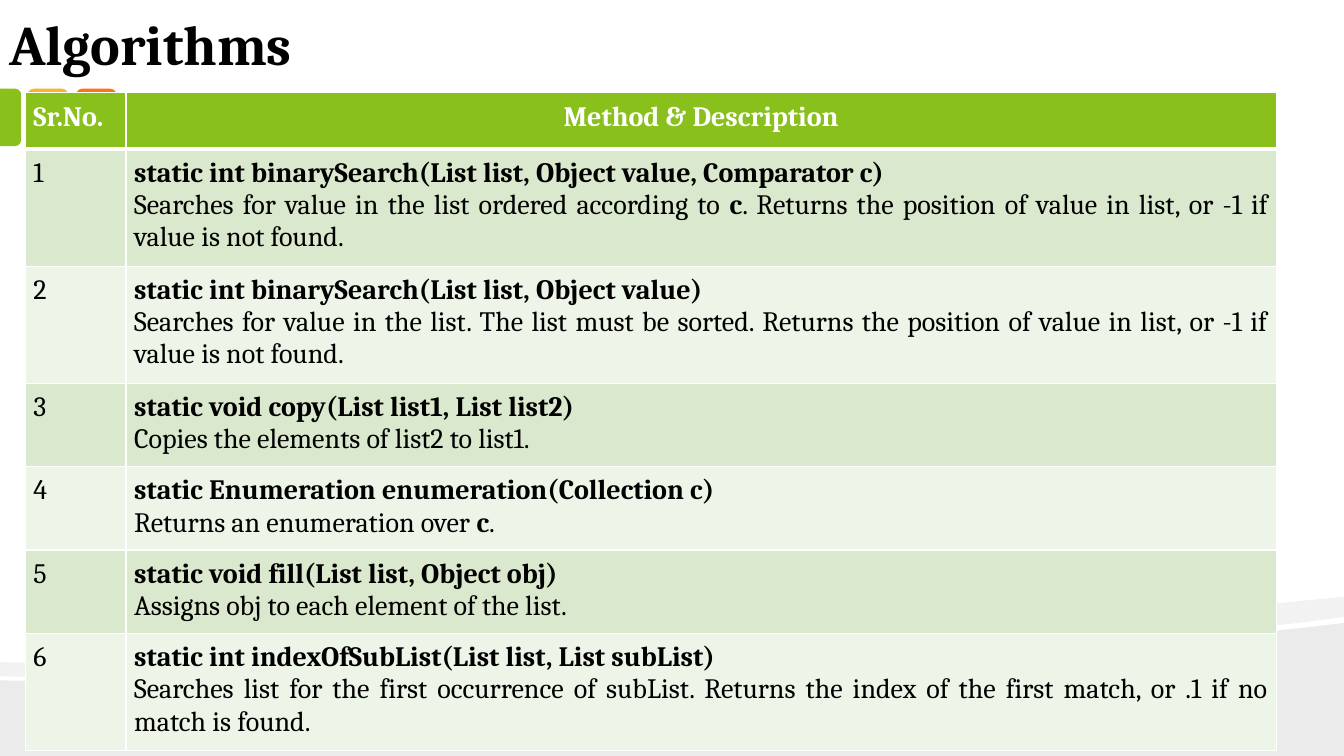
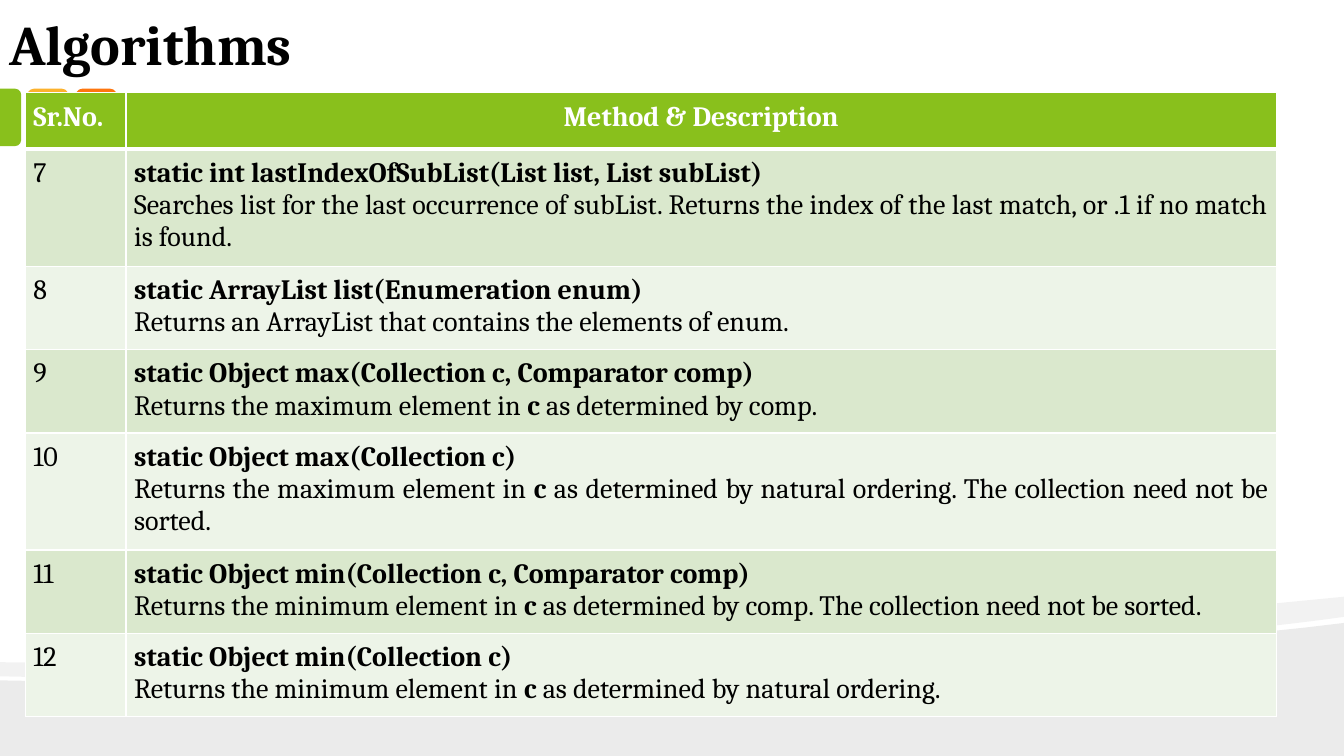
from lxml import etree
from pptx import Presentation
from pptx import util as u
from pptx.dml.color import RGBColor
from pptx.enum import shapes, text
from pptx.oxml import ns

BLACK = RGBColor(0x00, 0x00, 0x00)
WHITE = RGBColor(0xFF, 0xFF, 0xFF)
GREEN = RGBColor(0x89, 0xC0, 0x1C)
AMBER = RGBColor(0xFC, 0xB2, 0x2C)
ORANGE = RGBColor(0xFE, 0x75, 0x0E)
BANDS = (RGBColor(0xDA, 0xE8, 0xCD), RGBColor(0xED, 0xF4, 0xE8))
FONT = "Cambria"
WIDE, HIGH = 13.33, 7.5
STEPS = 24

TITLE = "Algorithms"
HEAD = ("Sr.No.", "Method & Description")

# Signature and description of each method; asterisks enclose bold words
PAGES = [
    [
        ("static int binarySearch(List list, Object value, Comparator c)",
         "Searches for value in the list ordered according to *c*. "
         "Returns the position of value in list, or -1 if value is not found."),
        ("static int binarySearch(List list, Object value)",
         "Searches for value in the list. The list must be sorted. "
         "Returns the position of value in list, or -1 if value is not found."),
        ("static void copy(List list1, List list2)",
         "Copies the elements of list2 to list1."),
        ("static Enumeration enumeration(Collection c)",
         "Returns an enumeration over *c*."),
        ("static void fill(List list, Object obj)",
         "Assigns obj to each element of the list."),
        ("static int indexOfSubList(List list, List subList)",
         "Searches list for the first occurrence of subList. "
         "Returns the index of the first match, or .1 if no match is found."),
    ],
    [
        ("static int lastIndexOfSubList(List list, List subList)",
         "Searches list for the last occurrence of subList. "
         "Returns the index of the last match, or .1 if no match is found."),
        ("static ArrayList list(Enumeration enum)",
         "Returns an ArrayList that contains the elements of enum."),
        ("static Object max(Collection c, Comparator comp)",
         "Returns the maximum element in *c* as determined by comp."),
        ("static Object max(Collection c)",
         "Returns the maximum element in *c* as determined by natural "
         "ordering. The collection need not be sorted."),
        ("static Object min(Collection c, Comparator comp)",
         "Returns the minimum element in *c* as determined by comp. "
         "The collection need not be sorted."),
        ("static Object min(Collection c)",
         "Returns the minimum element in *c* as determined by natural "
         "ordering."),
    ],
]


def paint(shape, color):
    shape.shadow.inherit = False
    shape.fill.solid()
    shape.fill.fore_color.rgb = color
    shape.line.fill.background()


def style(run, size, color, bold):
    run.font.name = FONT
    run.font.size = u.Pt(size)
    run.font.color.rgb = color
    run.font.bold = bold


def curve(*knots):
    """Points along a cubic curve given by its four knots."""
    points = []
    for step in range(STEPS + 1):
        t = step / STEPS
        parts = ((1 - t) ** 3, 3 * t * (1 - t) ** 2, 3 * t * t * (1 - t), t ** 3)
        points.append(tuple(sum(p * k[axis] for p, k in zip(parts, knots))
                            for axis in (0, 1)))
    return points


def add_wave(slide, points, alpha):
    spots = [(u.Inches(x), u.Inches(y)) for x, y in points]
    pen = slide.shapes.build_freeform(*spots[0])
    pen.add_line_segments(spots[1:], close=True)
    wave = pen.convert_to_shape()
    paint(wave, BLACK)
    tint = wave.element.spPr.find(".//" + ns.qn("a:srgbClr"))
    etree.SubElement(tint, ns.qn("a:alpha"), val=str(alpha * 1000))


def add_tab(slide, kind, left, top, width, height, color):
    tab = slide.shapes.add_shape(kind, u.Inches(left), u.Inches(top),
                                 u.Inches(width), u.Inches(height))
    paint(tab, color)
    return tab


def add_decor(slide):
    # Grey waves along the foot
    add_wave(slide, [(WIDE, HIGH), (0, HIGH)]
             + curve((0, 6.75), (3.52, 6.83), (10.42, 6.55), (WIDE, 6.18)), 8)
    add_wave(slide, curve((WIDE, 6.12), (12.55, 6.23), (11.49, 6.33), (10.29, 6.41))
             + curve((10.29, 6.41), (6.98, 6.63), (2.58, 6.77), (0, 6.71))
             + curve((0, 6.57), (6.52, 6.62), (9.71, 6.27), (WIDE, 5.92)), 5)
    # Coloured tabs at the left edge
    kinds = shapes.MSO_SHAPE
    for left, color in ((0.75, ORANGE), (0.27, AMBER)):
        add_tab(slide, kinds.ROUNDED_RECTANGLE, left, 0.88, 0.41, 0.57, color)
    edge = add_tab(slide, kinds.ROUND_2_SAME_RECTANGLE,
                   -0.18, 1.06, 0.57, 0.21, GREEN)
    edge.rotation = 90
    edge.adjustments[0] = 0.29


def add_title(slide):
    box = slide.shapes.add_textbox(u.Inches(-0.04), 0, u.Inches(10.37), u.Inches(0.83))
    frame = box.text_frame
    frame.word_wrap = True
    frame.vertical_anchor = text.MSO_ANCHOR.BOTTOM
    frame.margin_left = frame.margin_right = u.Inches(0.13)
    frame.margin_top = frame.margin_bottom = u.Inches(0.07)
    frame.text = TITLE
    style(frame.paragraphs[0].runs[0], 40, BLACK, True)


def set_cell(cell, fill, top=1, base=1):
    """Margins, white borders (widths in points) and fill."""
    cell.margin_left = cell.margin_right = u.Inches(0.08)
    cell.margin_top = cell.margin_bottom = u.Inches(0.08)
    props = cell._tc.get_or_add_tcPr()
    for side, width in (("L", 1), ("R", 1), ("T", top), ("B", base)):
        line = etree.SubElement(props, ns.qn("a:ln" + side), w=str(u.Pt(width)))
        solid = etree.SubElement(line, ns.qn("a:solidFill"))
        etree.SubElement(solid, ns.qn("a:srgbClr"), val=str(WHITE))
    cell.fill.solid()
    cell.fill.fore_color.rgb = fill


def write(para, words, color=BLACK, align=text.PP_ALIGN.LEFT):
    para.alignment = align
    for i, part in enumerate(words.split("*")):
        if part:
            run = para.add_run()
            run.text = part
            style(run, 20, color, i % 2 == 1)


def add_grid(slide, items, first):
    count = len(items) + 1
    grid = slide.shapes.add_table(count, 2, u.Inches(0.25), u.Inches(0.92),
                                  u.Inches(12.41), u.Inches(0.56 * count)).table
    grid.horz_banding = False
    grid.columns[0].width = u.Inches(1)
    grid.columns[1].width = u.Inches(11.41)

    # Header row
    aligns = (text.PP_ALIGN.LEFT, text.PP_ALIGN.CENTER)
    for col, (label, align) in enumerate(zip(HEAD, aligns)):
        cell = grid.cell(0, col)
        set_cell(cell, GREEN, base=3)
        write(cell.text_frame.paragraphs[0], f"*{label}*", WHITE, align)

    # One row for each method
    for row, (method, about) in enumerate(items, 1):
        num, body = grid.cell(row, 0), grid.cell(row, 1)
        for cell in (num, body):
            set_cell(cell, BANDS[(row - 1) % 2], top=3 if row == 1 else 1)
        write(num.text_frame.paragraphs[0], str(first + row - 1))
        frame = body.text_frame
        write(frame.paragraphs[0], f"*{method}*", align=text.PP_ALIGN.JUSTIFY)
        write(frame.add_paragraph(), about, align=text.PP_ALIGN.JUSTIFY)


def main():
    prs = Presentation()
    prs.slide_width, prs.slide_height = u.Inches(WIDE), u.Inches(HIGH)
    first = 1
    for items in PAGES:
        slide = prs.slides.add_slide(prs.slide_layouts[6])
        add_decor(slide)
        add_title(slide)
        add_grid(slide, items, first)
        first += len(items)
    prs.save("out.pptx")


if __name__ == "__main__":
    main()
